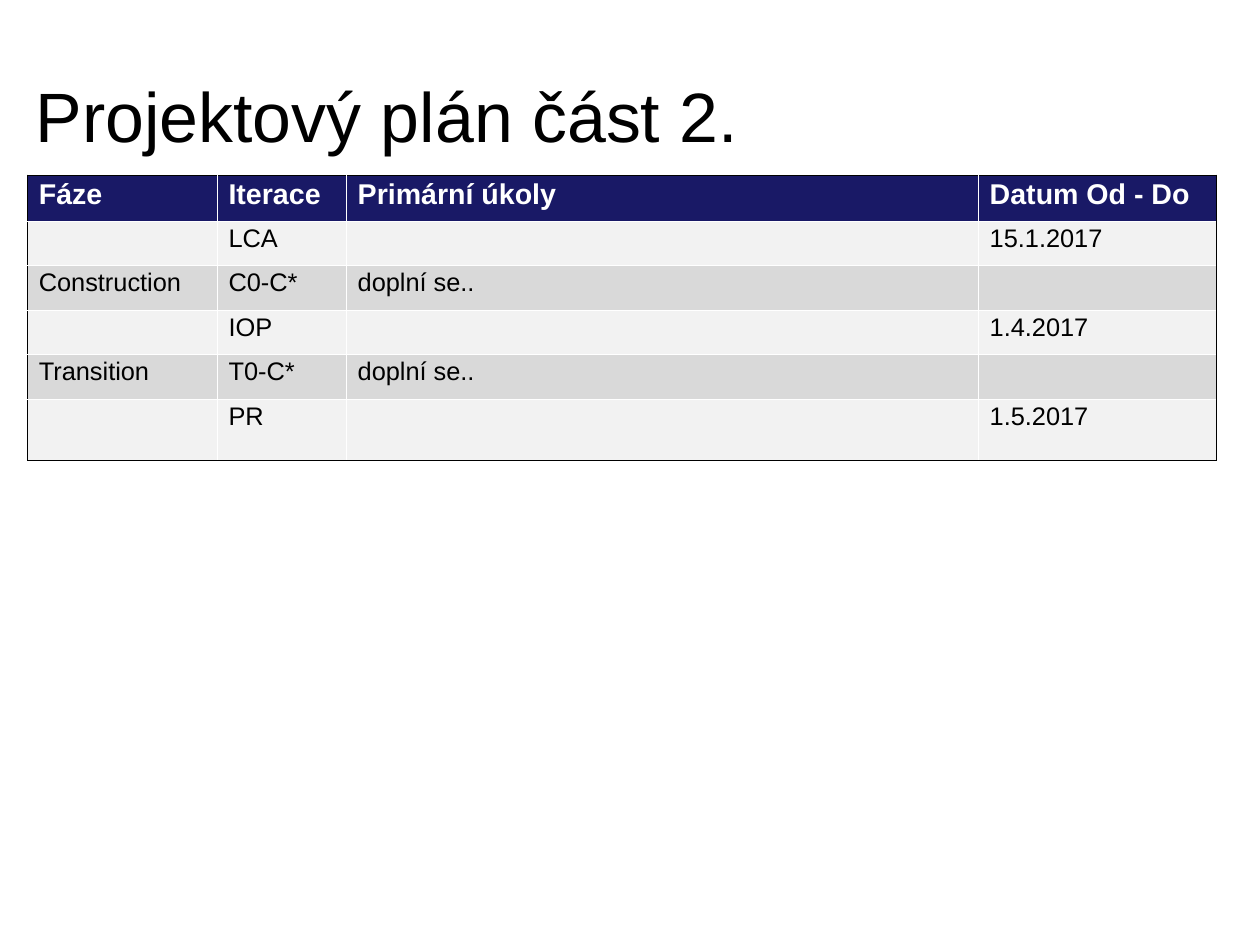
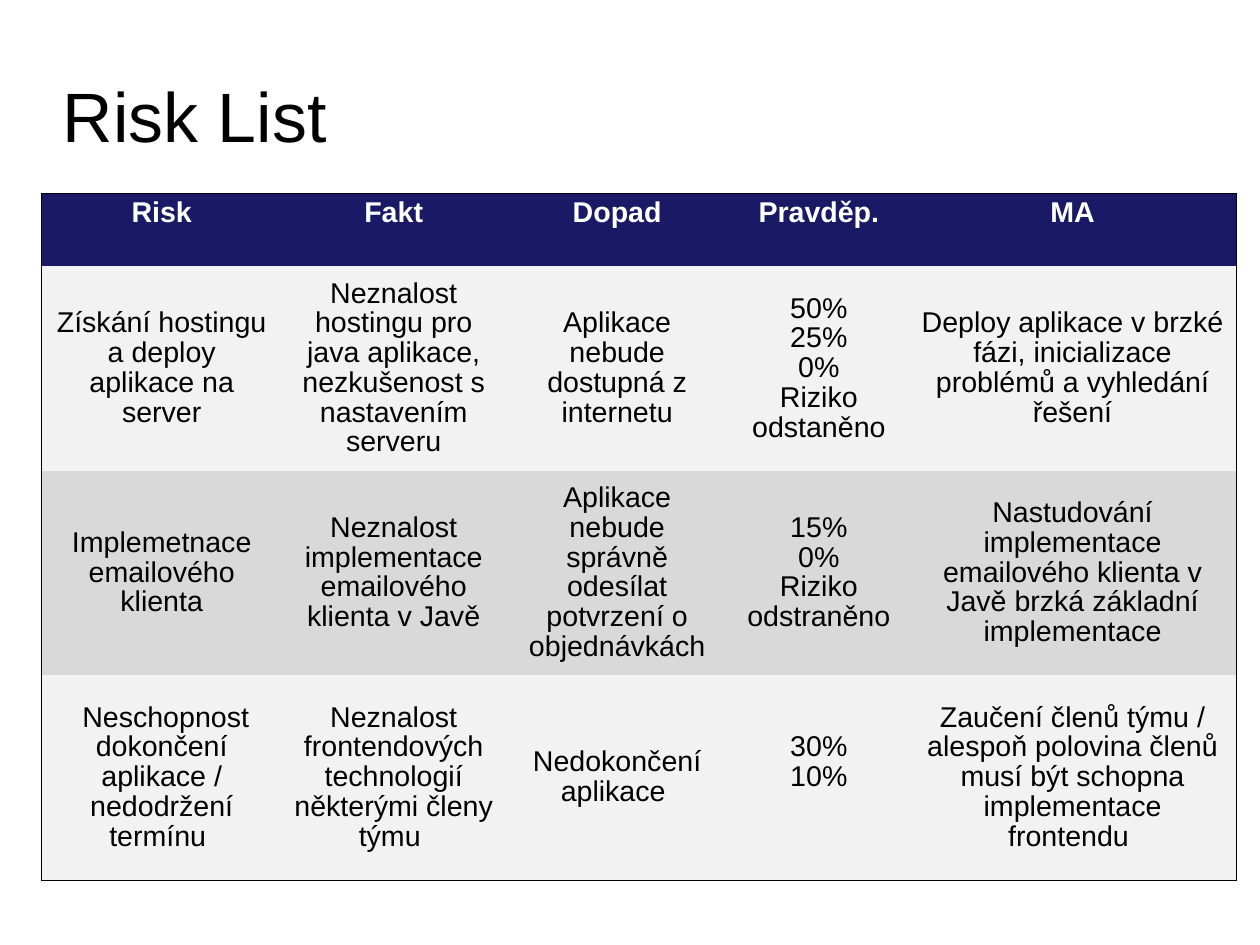
from dataclasses import dataclass

from lxml.etree import SubElement
from pptx import Presentation
from pptx.dml.color import RGBColor
from pptx.enum.text import MSO_ANCHOR, PP_ALIGN
from pptx.oxml.ns import qn
from pptx.util import Inches, Pt

SLIDE_SIZE = (Pt(793.75), Pt(595.25))

SLIDES = [
    {
        "title": "Projektový plán část 2.",
        "title_left": 0.19, "title_width": 6.4, "title_align": PP_ALIGN.CENTER,
        "origin": (0.24, 1.53),
        "columns": [1.66, 1.13, 5.53, 2.08],
        "row_heights": [0.4] + [0.39] * 4 + [0.54],
        "align": PP_ALIGN.LEFT, "anchor": MSO_ANCHOR.TOP,
        "body_size": 16, "inner_lines": True, "raised_cells": {},
        "rows": [
            ["Fáze", "Iterace", "Primární úkoly", "Datum Od - Do"],
            ["", "LCA", "", "15.1.2017"],
            ["Construction", "C0-C*", "doplní se..", ""],
            ["", "IOP", "", "1.4.2017"],
            ["Transition", "T0-C*", "doplní se..", ""],
            ["", "PR", "", "1.5.2017"],
        ],
    },
    {
        "title": "Risk List",
        "title_left": 0.55, "title_width": 9.92, "title_align": PP_ALIGN.LEFT,
        "origin": (0.36, 1.69),
        "columns": [2.11, 1.95, 1.96, 1.57, 2.87],
        "row_heights": [0.64] + [1.79] * 3,
        "align": PP_ALIGN.CENTER, "anchor": MSO_ANCHOR.MIDDLE,
        "body_size": 18, "inner_lines": False, "raised_cells": {(3, 3): 0.31},
        "rows": [
            ["Risk", "Fakt", "Dopad", "Pravděp.", "MA"],
            ["Získání hostingu a deploy aplikace na server",
             "Neznalost hostingu pro java aplikace, nezkušenost s nastavením serveru",
             "Aplikace nebude dostupná z internetu",
             "50%\n25%\n0%\nRiziko odstaněno",
             "Deploy aplikace v brzké fázi, inicializace problémů a vyhledání řešení"],
            ["Implemetnace emailového klienta",
             "Neznalost implementace emailového klienta v Javě",
             "Aplikace nebude správně odesílat potvrzení o objednávkách",
             "15%\n0%\nRiziko odstraněno",
             "Nastudování implementace emailového klienta v Javě brzká základní implementace"],
            [" Neschopnost dokončení aplikace / nedodržení termínu ",
             "Neznalost frontendových technologií některými členy týmu ",
             "Nedokončení aplikace ",
             "30%\n10%",
             "Zaučení členů týmu / alespoň polovina členů musí být schopna implementace frontendu "],
        ],
    },
]


@dataclass(frozen=True)
class Theme:
    font: str = "Arial"
    ink: str = "000000"
    paper: str = "FFFFFF"
    header: str = "191966"
    bands: tuple = ("D9D9D9", "F2F2F2")
    title_size: int = 44
    header_size: int = 18
    line_spacing: float = 0.93
    frame_width: float = 0.45
    inner_width: float = 0.06
    title_top: float = 0.35
    title_height: float = 1.38


THEME = Theme()


def format_text(text_frame, size, color, align, bold=False):
    for paragraph in text_frame.paragraphs:
        paragraph.alignment = align
        paragraph.line_spacing = THEME.line_spacing
        for run in paragraph.runs:
            run.font.name = THEME.font
            run.font.size = Pt(size)
            run.font.bold = bold
            run.font.color.rgb = RGBColor.from_string(color)
        if not paragraph.runs:
            SubElement(paragraph._p, qn("a:endParaRPr"), sz=str(size * 100))


def add_title(slide, content):
    shape = slide.shapes.add_textbox(
        Inches(content["title_left"]), Inches(THEME.title_top),
        Inches(content["title_width"]), Inches(THEME.title_height))
    text_frame = shape.text_frame
    text_frame.word_wrap = True
    text_frame.vertical_anchor = MSO_ANCHOR.MIDDLE
    text_frame.margin_left = text_frame.margin_right = 0
    text_frame.margin_top = text_frame.margin_bottom = 0
    text_frame.text = content["title"]
    format_text(text_frame, THEME.title_size, THEME.ink, content["title_align"])


def add_borders(cell, outer_sides, inner_lines):
    properties = cell._tc.get_or_add_tcPr()
    for side, is_outer in outer_sides.items():
        width = THEME.frame_width if is_outer else THEME.inner_width
        line = SubElement(properties, qn(f"a:ln{side}"), w=str(int(Pt(width))))
        if is_outer or inner_lines:
            fill = SubElement(line, qn("a:solidFill"))
            SubElement(fill, qn("a:srgbClr"), val=THEME.ink if is_outer else THEME.paper)
        else:
            SubElement(line, qn("a:noFill"))


def add_table(slide, content):
    rows, columns, heights = content["rows"], content["columns"], content["row_heights"]
    left, top = content["origin"]
    table = slide.shapes.add_table(
        len(rows), len(columns), Inches(left), Inches(top),
        Inches(sum(columns)), Inches(sum(heights))).table
    table.horz_banding = False
    for column, width in zip(table.columns, columns):
        column.width = Inches(width)
    for row_index, (row, height) in enumerate(zip(rows, heights)):
        table.rows[row_index].height = Inches(height)
        is_header = row_index == 0
        for column_index, text in enumerate(row):
            cell = table.cell(row_index, column_index)
            add_borders(cell, {
                "L": column_index == 0,
                "R": column_index == len(columns) - 1,
                "T": is_header,
                "B": row_index == len(rows) - 1,
            }, content["inner_lines"])
            cell.fill.solid()
            cell.fill.fore_color.rgb = RGBColor.from_string(
                THEME.header if is_header else THEME.bands[row_index % 2])
            cell.vertical_anchor = MSO_ANCHOR.TOP if is_header else content["anchor"]
            cell.margin_bottom = Inches(
                content["raised_cells"].get((row_index, column_index), 0.05))
            cell.text_frame.text = text
            format_text(
                cell.text_frame,
                THEME.header_size if is_header else content["body_size"],
                THEME.paper if is_header else THEME.ink,
                content["align"], is_header)


def main():
    presentation = Presentation()
    presentation.slide_width, presentation.slide_height = SLIDE_SIZE
    for content in SLIDES:
        slide = presentation.slides.add_slide(presentation.slide_layouts[6])
        add_title(slide, content)
        add_table(slide, content)
    presentation.save("out.pptx")


if __name__ == "__main__":
    main()
